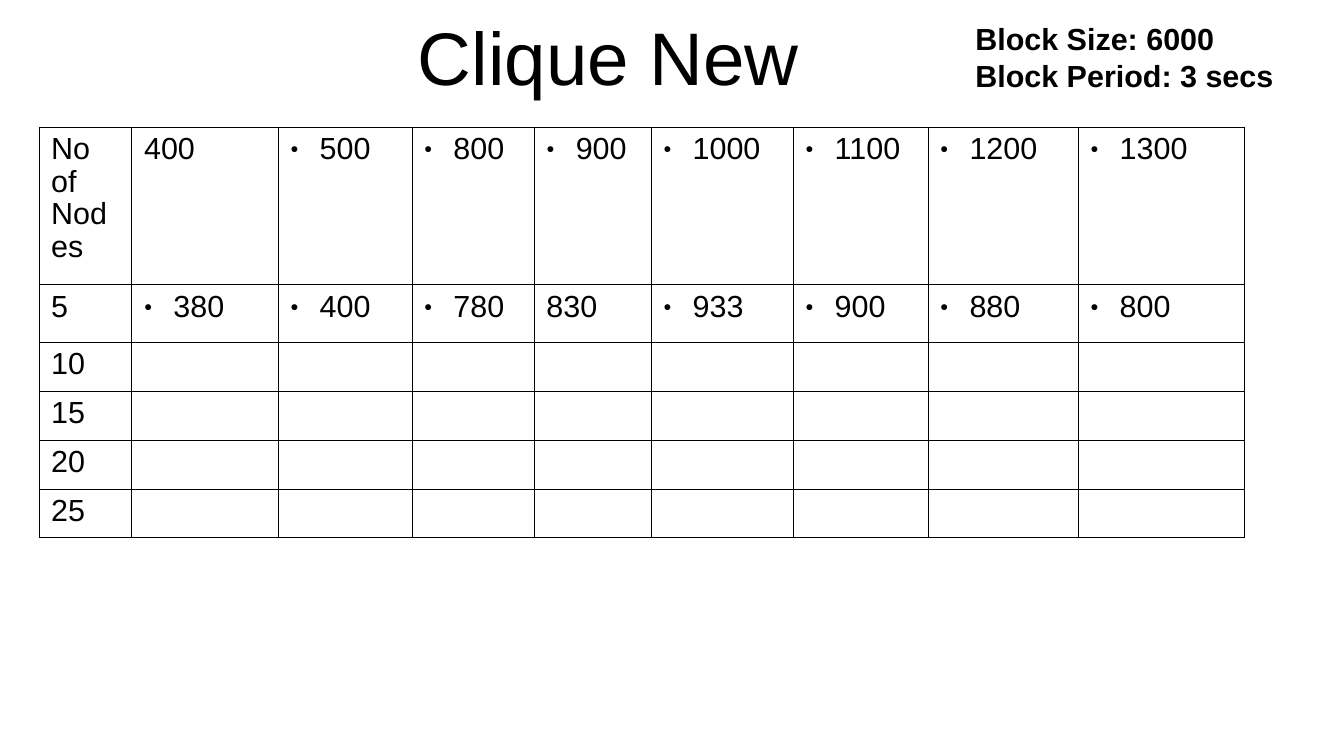
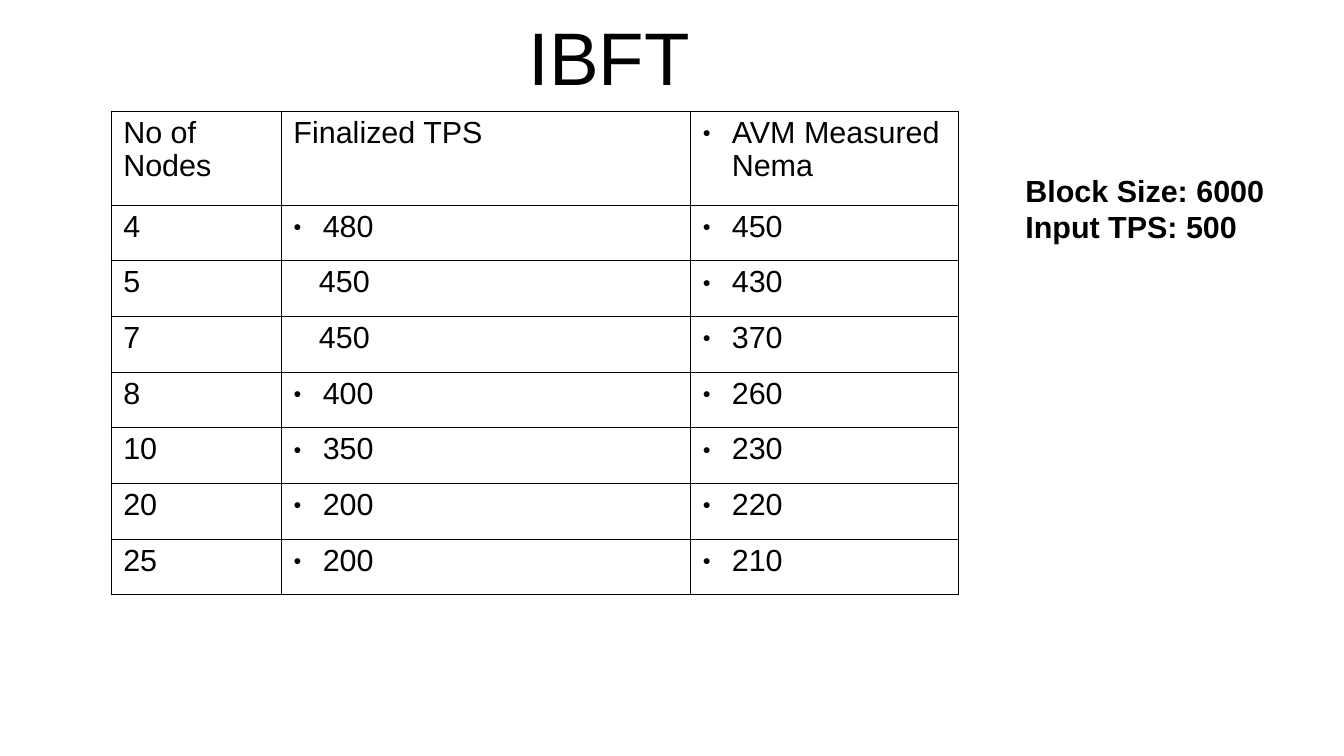
from pptx import Presentation
from pptx.dml.color import RGBColor as Color
from pptx.enum.text import MSO_ANCHOR as Anchor, PP_ALIGN as Align
from pptx.oxml import parse_xml
from pptx.oxml.ns import nsdecls
from pptx.util import Pt

COLORS = {"ink": "000000", "paper": "FFFFFF"}
FONT = "Arial"
BODY_SIZE, TITLE_SIZE = 18, 44
BORDER_WIDTH = 0.57
BULLET_INDENT = 17.3
BULLET = (
    f'<a:buClr {nsdecls("a")}><a:srgbClr val="{COLORS["ink"]}"/></a:buClr>',
    f'<a:buSzPct {nsdecls("a")} val="45000"/>',
    f'<a:buFont {nsdecls("a")} typeface="{FONT}"/>',
    f'<a:buChar {nsdecls("a")} char="●"/>',
)

# Each slide: unindented or specially indented cells are keyed by (row, column);
# every other cell right of the first column has a bullet.
PAGES = [
    {
        "title": "Clique New ",
        "note": ["Block Size: 6000", "Block Period: 3 secs"],
        "note_at": (568.8, 8.6, 208.8, 67.7),
        "table_at": (23, 75),
        "widths": [54.9, 86.4, 79, 72.2, 69, 83.9, 79.6, 88.7, 97.9],
        "heights": [93.2, 34.2] + [28.7] * 4,
        "rows": [
            ["No of Nodes", "400", "500", "800", "900", "1000", "1100", "1200", "1300"],
            ["5", "380", "400", "780", "830", "933", "900", "880", "800"],
            ["10"], ["15"], ["20"], ["25"],
        ],
        "plain": {(0, 1): 0, (1, 4): 0},
    },
    {
        "title": "IBFT ",
        "note": ["Block Size: 6000", "Input TPS: 500"],
        "note_at": (598.3, 97.9, 172.1, 67.7),
        "table_at": (65.6, 65.6),
        "widths": [100.5, 241.5, 158.5],
        "heights": [55.5] + [32.9] * 7,
        "rows": [
            ["No of Nodes", "Finalized TPS", "AVM Measured Nema"],
            ["4", "480", "450"],
            ["5", "450", "430"],
            ["7", "450", "370"],
            ["8", "400", "260"],
            ["10", "350", "230"],
            ["20", "200", "220"],
            ["25", "200", "210"],
        ],
        "plain": {(0, 1): 0, (2, 1): 15, (3, 1): 15},
    },
]


def add_run(para, text, size=BODY_SIZE, bold=False):
    span = para.add_run()
    span.text = text
    span.font.name = FONT
    span.font.size = Pt(size)
    span.font.bold = bold
    span.font.color.rgb = Color.from_string(COLORS["ink"])


def add_borders(cell):
    properties = cell._tc.get_or_add_tcPr()
    for side in ("lnL", "lnR", "lnT", "lnB"):
        properties.append(parse_xml(
            f'<a:{side} {nsdecls("a")} w="{int(Pt(BORDER_WIDTH))}"><a:solidFill>'
            f'<a:srgbClr val="{COLORS["ink"]}"/></a:solidFill></a:{side}>'))


deck = Presentation()
deck.slide_width, deck.slide_height = Pt(793.5), Pt(446.5)

for content in PAGES:
    page = deck.slides.add_slide(deck.slide_layouts[6])
    page.background.fill.solid()
    page.background.fill.fore_color.rgb = Color.from_string(COLORS["paper"])

    # Title
    frame = page.shapes.add_textbox(Pt(122.4), Pt(8.6), Pt(486), Pt(49)).text_frame
    frame.word_wrap = True
    frame.vertical_anchor = Anchor.MIDDLE
    frame.margin_left = frame.margin_right = frame.margin_top = frame.margin_bottom = 0
    frame.paragraphs[0].alignment = Align.CENTER
    add_run(frame.paragraphs[0], content["title"], TITLE_SIZE)

    # Results table
    widths, heights = content["widths"], content["heights"]
    left, top = content["table_at"]
    table = page.shapes.add_table(
        len(heights), len(widths), Pt(left), Pt(top), Pt(sum(widths)), Pt(sum(heights))).table
    table.first_row = table.horz_banding = False
    for column, width in zip(table.columns, widths):
        column.width = Pt(width)
    for row, height in zip(table.rows, heights):
        row.height = Pt(height)
    for cell in table.iter_cells():
        add_borders(cell)
        cell.fill.background()

    for row_index, values in enumerate(content["rows"]):
        for column_index, value in enumerate(values):
            para = table.cell(row_index, column_index).text_frame.paragraphs[0]
            para.line_spacing = 0.96
            add_run(para, value)
            properties = para._p.get_or_add_pPr()
            place = (row_index, column_index)
            if place in content["plain"]:
                properties.set("marL", str(int(Pt(content["plain"][place]))))
            elif column_index > 0:
                properties.set("marL", str(int(Pt(BULLET_INDENT))))
                properties.set("indent", str(-int(Pt(BULLET_INDENT))))
                for part in BULLET:
                    properties.append(parse_xml(part))

    # Test settings
    frame = page.shapes.add_textbox(*map(Pt, content["note_at"])).text_frame
    frame.word_wrap = True
    for index, line in enumerate(content["note"]):
        para = frame.add_paragraph() if index else frame.paragraphs[0]
        add_run(para, line, bold=True)

deck.save("out.pptx")
